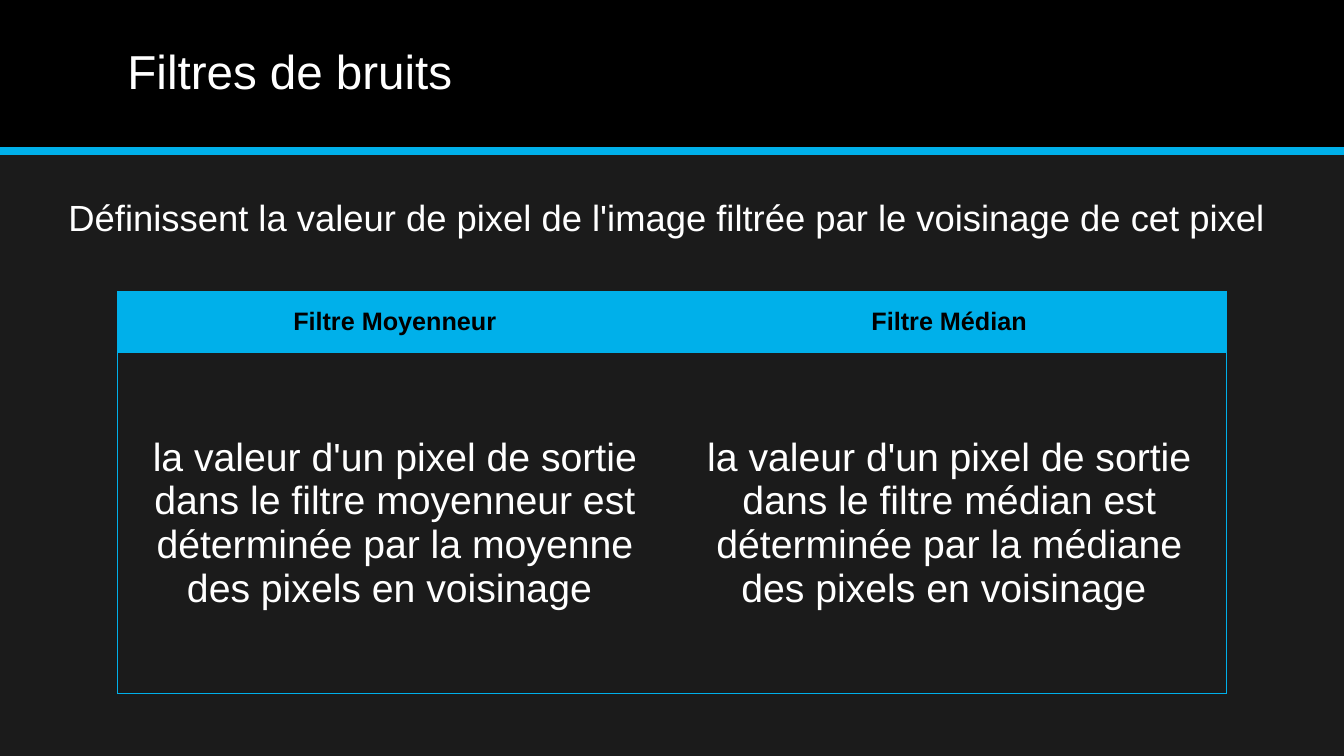
from lxml import etree
from pptx import Presentation
from pptx.dml.color import RGBColor
from pptx.enum.shapes import MSO_CONNECTOR, MSO_SHAPE
from pptx.enum.text import MSO_ANCHOR, PP_ALIGN
from pptx.oxml.ns import qn
from pptx.util import Pt

STRAIGHT = MSO_CONNECTOR.STRAIGHT
RECTANGLE = MSO_SHAPE.RECTANGLE
MIDDLE, TOP = MSO_ANCHOR.MIDDLE, MSO_ANCHOR.TOP
CENTER, LEFT = PP_ALIGN.CENTER, PP_ALIGN.LEFT

CHARCOAL = RGBColor(0x1B, 0x1B, 0x1B)
BLACK = RGBColor(0x00, 0x00, 0x00)
WHITE = RGBColor(0xFF, 0xFF, 0xFF)
CYAN = RGBColor(0x00, 0xB0, 0xEA)

FONT = "Arial"
SLIDE_WIDTH, SLIDE_HEIGHT = 960, 540
MARGIN = 84
CONTENT_WIDTH = SLIDE_WIDTH - 2 * MARGIN
HEADER_HEIGHT = 108
HEADING_ROW_HEIGHT = 44

TITLE = "Filtres de bruits"
INTRODUCTION = "Définissent la valeur de pixel de l'image filtrée par le voisinage de cet pixel"
FILTERS = [
    ("Filtre Moyenneur",
     "la valeur d'un pixel de sortie dans le filtre moyenneur est "
     "déterminée par la moyenne des pixels en voisinage "),
    ("Filtre Médian",
     "la valeur d'un pixel de sortie dans le filtre médian est "
     "déterminée par la médiane des pixels en voisinage "),
]


def write_text(text_frame, text, size, color, bold=False, alignment=LEFT):
    """Fill a text frame with one formatted paragraph."""
    text_frame.text = text
    text_frame.word_wrap = True
    paragraph = text_frame.paragraphs[0]
    paragraph.alignment = alignment
    font = paragraph.runs[0].font
    font.name, font.size, font.bold = FONT, Pt(size), bold
    font.color.rgb = color
    return paragraph


def add_text(slide, box, text, size, anchor):
    """Add a white text box in the given box and return its paragraph."""
    text_frame = slide.shapes.add_textbox(*map(Pt, box)).text_frame
    text_frame.vertical_anchor = anchor
    return write_text(text_frame, text, size, WHITE)


def add_header(slide, left, top, width, height):
    """Draw the title band with its title and lower rule."""
    band = slide.shapes.add_shape(RECTANGLE, Pt(left), Pt(top), Pt(width), Pt(height))
    band.shadow.inherit = False
    band.fill.solid()
    band.fill.fore_color.rgb = BLACK
    band.line.fill.background()

    bottom = Pt(top + height)
    rule = slide.shapes.add_connector(STRAIGHT, Pt(left), bottom, Pt(left + width), bottom)
    rule.line.color.rgb = CYAN
    rule.line.width = Pt(6)
    etree.SubElement(rule._element.spPr, qn("a:effectLst"))

    title_box = (left + MARGIN, top + 10, width - 2 * MARGIN, 86.4)
    add_text(slide, title_box, TITLE, 34, MIDDLE).line_spacing = 0.9


def set_borders(cell, visible_sides):
    """Draw thin cyan borders on the visible sides and clear the others."""
    properties = cell._tc.get_or_add_tcPr()
    for side in "LRTB":
        line = etree.SubElement(properties, qn(f"a:ln{side}"), w=str(Pt(0.5)))
        if side in visible_sides:
            fill = etree.SubElement(line, qn("a:solidFill"))
            etree.SubElement(fill, qn("a:srgbClr"), val=str(CYAN))
        else:
            etree.SubElement(line, qn("a:noFill"))


def add_filter_table(slide, left, top, width, height):
    """Compare the filters, one column each, under a cyan heading row."""
    frame = slide.shapes.add_table(
        2, len(FILTERS), Pt(left), Pt(top), Pt(width), Pt(height))
    table = frame.table
    table.horz_banding = False
    table.rows[0].height = Pt(HEADING_ROW_HEIGHT)
    table.rows[1].height = Pt(height - HEADING_ROW_HEIGHT)
    for index, (heading, description) in enumerate(FILTERS):
        table.columns[index].width = Pt(width / len(FILTERS))
        outer_side = ("L" if index == 0 else "") + ("R" if index == len(FILTERS) - 1 else "")

        heading_cell = table.cell(0, index)
        set_borders(heading_cell, outer_side + "T")
        heading_cell.fill.solid()
        heading_cell.fill.fore_color.rgb = CYAN
        write_text(heading_cell.text_frame, heading, 18, BLACK, True, CENTER)

        description_cell = table.cell(1, index)
        set_borders(description_cell, outer_side + "TB")
        description_cell.fill.background()
        write_text(description_cell.text_frame, description, 28, WHITE, False, CENTER)

        for cell in (heading_cell, description_cell):
            cell.vertical_anchor = MIDDLE


def main():
    """Build the slide and save the presentation."""
    presentation = Presentation()
    presentation.slide_width = Pt(SLIDE_WIDTH)
    presentation.slide_height = Pt(SLIDE_HEIGHT)
    slide = presentation.slides.add_slide(presentation.slide_layouts[6])
    slide.background.fill.solid()
    slide.background.fill.fore_color.rgb = CHARCOAL

    add_header(slide, 0, 0, SLIDE_WIDTH, HEADER_HEIGHT)
    add_filter_table(slide, MARGIN, 208, CONTENT_WIDTH, 287.4)
    add_text(slide, (41.8, 136, 877, 39), INTRODUCTION, 26, TOP)
    presentation.save("out.pptx")


if __name__ == "__main__":
    main()
